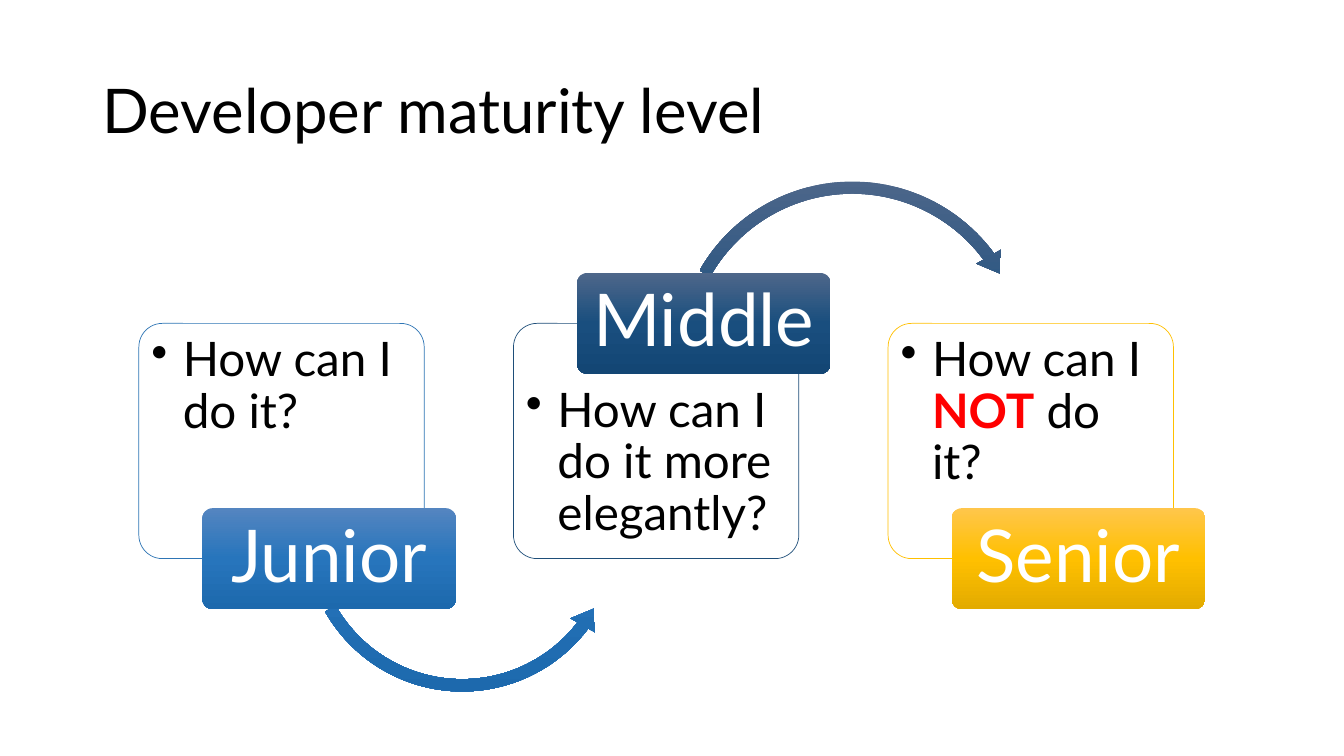
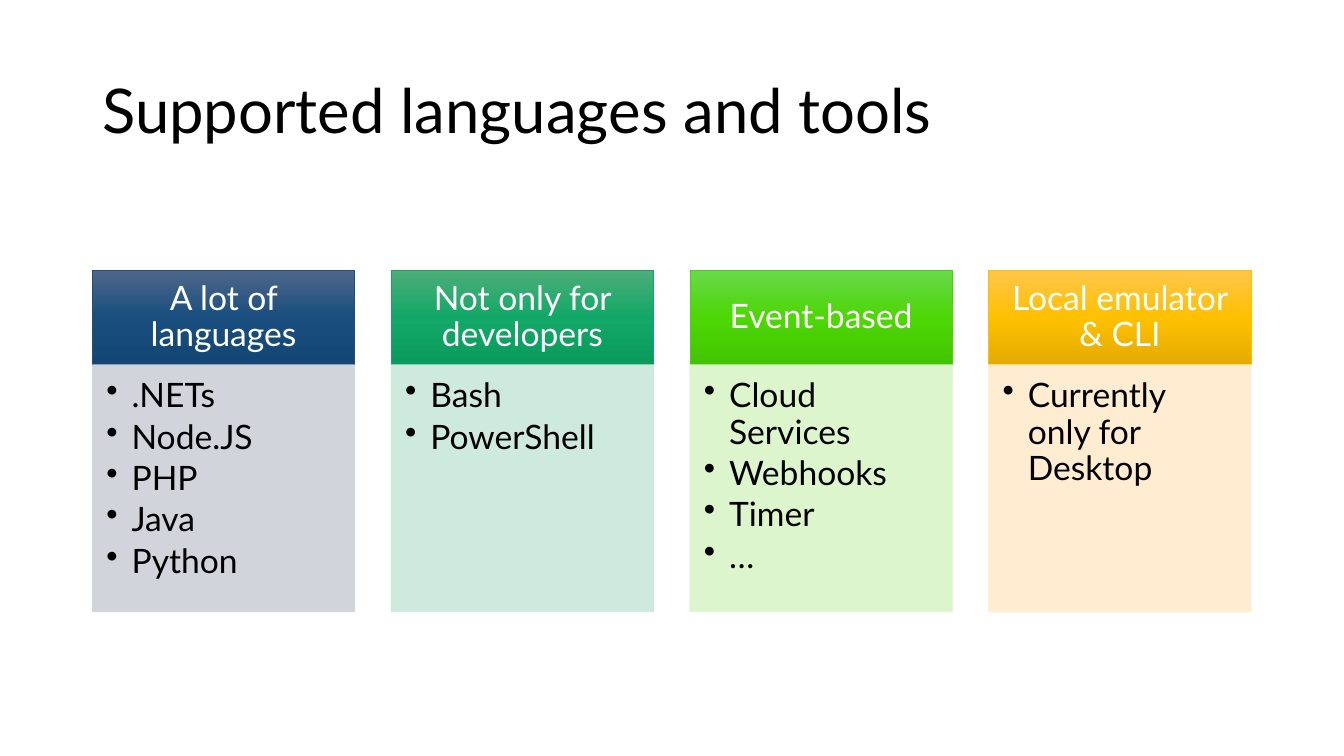
from lxml import etree
from pptx import Presentation
from pptx.dml.color import RGBColor
from pptx.enum.shapes import MSO_SHAPE
from pptx.enum.text import MSO_ANCHOR, PP_ALIGN
from pptx.oxml.ns import qn
from pptx.util import Pt

RECT = MSO_SHAPE.RECTANGLE
ROUNDED = MSO_SHAPE.ROUNDED_RECTANGLE
ARC_UNDER = MSO_SHAPE.LEFT_CIRCULAR_ARROW
ARC_OVER = MSO_SHAPE.CIRCULAR_ARROW
TOP, MIDDLE = MSO_ANCHOR.TOP, MSO_ANCHOR.MIDDLE
LEFT, CENTER = PP_ALIGN.LEFT, PP_ALIGN.CENTER

FONT = "Lato"
OPACITY = 90
COLORS = {
    "text": "000000", "white": "FFFFFF", "alert": "FF0000",
    "blue_light": "5485C0", "blue_mid": "2775BC", "blue_dark": "1D69AD",
    "blue_line": "2E75B5",
    "navy_light": "4E678A", "navy_mid": "194E7E", "navy_dark": "134674",
    "navy_line": "1E4E79", "navy_tint": "CDD0D7",
    "green_light": "4DAD79", "green_mid": "12A867", "green_dark": "0A9B5C",
    "green_line": "19A166", "green_tint": "C9E8DC",
    "lime_light": "68D84B", "lime_mid": "4DD705", "lime_dark": "43C400",
    "lime_line": "50CE0F", "lime_tint": "DAF5C8",
    "gold_light": "FFC64B", "gold_mid": "FFC000", "gold_dark": "E3AB00",
    "gold_line": "FFC000", "gold_tint": "FFEACC",
}

STAGES = [
    ("Junior", "blue", [("How can I do it?", "text")]),
    ("Middle", "navy", [("How can I do it more elegantly?", "text")]),
    ("Senior", "gold", [("How can I ", "text"), ("NOT", "alert"), (" do it?", "text")]),
]
STAGE_ARROWS = {
    "Junior": (ARC_UNDER, 211.7, 262.8, 236.9, (0.037, 4.574, 22.329, 90.245, 0.043)),
    "Middle": (ARC_OVER, 477.4, 123.8, 262.8, (0.033, 4.086, 194.159, 125.755, 0.039)),
}
TOOL_GROUPS = [
    ("A lot of languages", "navy", [".NETs", "Node.JS", "PHP", "Java", "Python"]),
    ("Not only for developers", "green", ["Bash", "PowerShell"]),
    ("Event-based", "lime", ["Cloud Services", "Webhooks", "Timer", "…"]),
    ("Local emulator & CLI", "gold", ["Currently only for Desktop"]),
]


def color(name):
    return RGBColor.from_string(COLORS[name])


def add_bullet(paragraph, indent):
    properties = paragraph._p.get_or_add_pPr()
    properties.set("marL", str(Pt(indent)))
    properties.set("indent", str(-Pt(indent)))
    etree.SubElement(properties, qn("a:buChar")).set("char", "•")


def write_text(shape, paragraphs, size=24, ink="text", align=LEFT, anchor=TOP,
               insets=(7.2, 3.6, 7.2, 3.6), bullet_indent=0, space_after=0):
    frame = shape.text_frame
    frame.word_wrap = True
    frame.vertical_anchor = anchor
    frame.margin_left, frame.margin_top, frame.margin_right, frame.margin_bottom = map(Pt, insets)
    for index, content in enumerate(paragraphs):
        paragraph = frame.add_paragraph() if index else frame.paragraphs[0]
        if bullet_indent:
            add_bullet(paragraph, bullet_indent)
        paragraph.alignment = align
        paragraph.line_spacing = 0.9
        paragraph.space_after = Pt(space_after)
        runs = [(content, ink)] if isinstance(content, str) else content
        for text, run_ink in runs:
            run = paragraph.add_run()
            run.text = text
            run.font.name = FONT
            run.font.size = Pt(size)
            run.font.bold = run_ink == "alert"
            run.font.color.rgb = color(run_ink)


def add_shape(slide, kind, left, top, width, height, adjustments=()):
    shape = slide.shapes.add_shape(kind, Pt(left), Pt(top), Pt(width), Pt(height))
    shape.shadow.inherit = False
    shape.line.fill.background()
    for index, value in enumerate(adjustments):
        shape.adjustments[index] = value
    return shape


def fill_solid(shape, name):
    shape.fill.solid()
    shape.fill.fore_color.rgb = color(name)


def fill_gradient(shape, tone):
    shape.fill.gradient()
    shape.fill.gradient_angle = 270
    stops = shape._element.spPr.find(".//" + qn("a:gsLst"))
    for stop in list(stops):
        stops.remove(stop)
    for position, shade in ((0, "light"), (50, "mid"), (100, "dark")):
        stop = etree.SubElement(stops, qn("a:gs"))
        stop.set("pos", str(position * 1000))
        etree.SubElement(stop, qn("a:srgbClr")).set("val", COLORS[f"{tone}_{shade}"])


def outline(shape, name):
    shape.line.color.rgb = color(name)
    shape.line.width = Pt(0.5)


def soften(shape):
    for paint in shape._element.spPr.iter(qn("a:srgbClr")):
        etree.SubElement(paint, qn("a:alpha")).set("val", str(OPACITY * 1000))


def add_titled_slide(deck, title):
    slide = deck.slides.add_slide(deck.slide_layouts[6])
    heading = slide.shapes.add_textbox(Pt(66), Pt(28.8), Pt(828), Pt(104.4))
    write_text(heading, [title], size=44, anchor=MIDDLE)
    return slide


def add_stage(slide, left, name, tone, question, label_on_top):
    box = add_shape(slide, ROUNDED, left, 231, 203.8, 168, (0.1,))
    fill_solid(box, "white")
    soften(box)
    outline(box, f"{tone}_line")
    write_text(box, [question], size=34, bullet_indent=22.5,
               insets=(4, 40 if label_on_top else 4, 4, 4))
    if name in STAGE_ARROWS:
        kind, arc_left, arc_top, side, adjustments = STAGE_ARROWS[name]
        arrow = add_shape(slide, kind, arc_left, arc_top, side, side, adjustments)
        fill_gradient(arrow, tone)
    label = add_shape(slide, ROUNDED, left + 45.4, 195 if label_on_top else 363, 181, 72, (0.1,))
    fill_gradient(label, tone)
    write_text(label, [name], size=52, ink="white", align=CENTER, anchor=MIDDLE,
               insets=(6, 5, 6, 5))


def add_tool_group(slide, left, heading, tone, tools):
    header = add_shape(slide, RECT, left, 193, 187.4, 67.6)
    fill_gradient(header, tone)
    outline(header, f"{tone}_line")
    write_text(header, [heading], ink="white", align=CENTER, anchor=MIDDLE,
               insets=(13.4, 7.7, 13.4, 7.7))
    body = add_shape(slide, RECT, left, 260.6, 187.4, 176.4)
    fill_solid(body, f"{tone}_tint")
    outline(body, f"{tone}_tint")
    soften(body)
    write_text(body, tools, bullet_indent=18, space_after=3.6,
               insets=(10, 10, 13.4, 15))


def main():
    deck = Presentation()
    deck.slide_width, deck.slide_height = Pt(960), Pt(540)

    maturity = add_titled_slide(deck, "Developer maturity level")
    for index, (name, tone, question) in enumerate(STAGES):
        add_stage(maturity, 99.2 + 267.6 * index, name, tone, question, index % 2 == 1)

    support = add_titled_slide(deck, "Supported languages and tools")
    for index, (heading, tone, tools) in enumerate(TOOL_GROUPS):
        add_tool_group(support, 66 + 213.4 * index, heading, tone, tools)

    deck.save("out.pptx")


if __name__ == "__main__":
    main()
